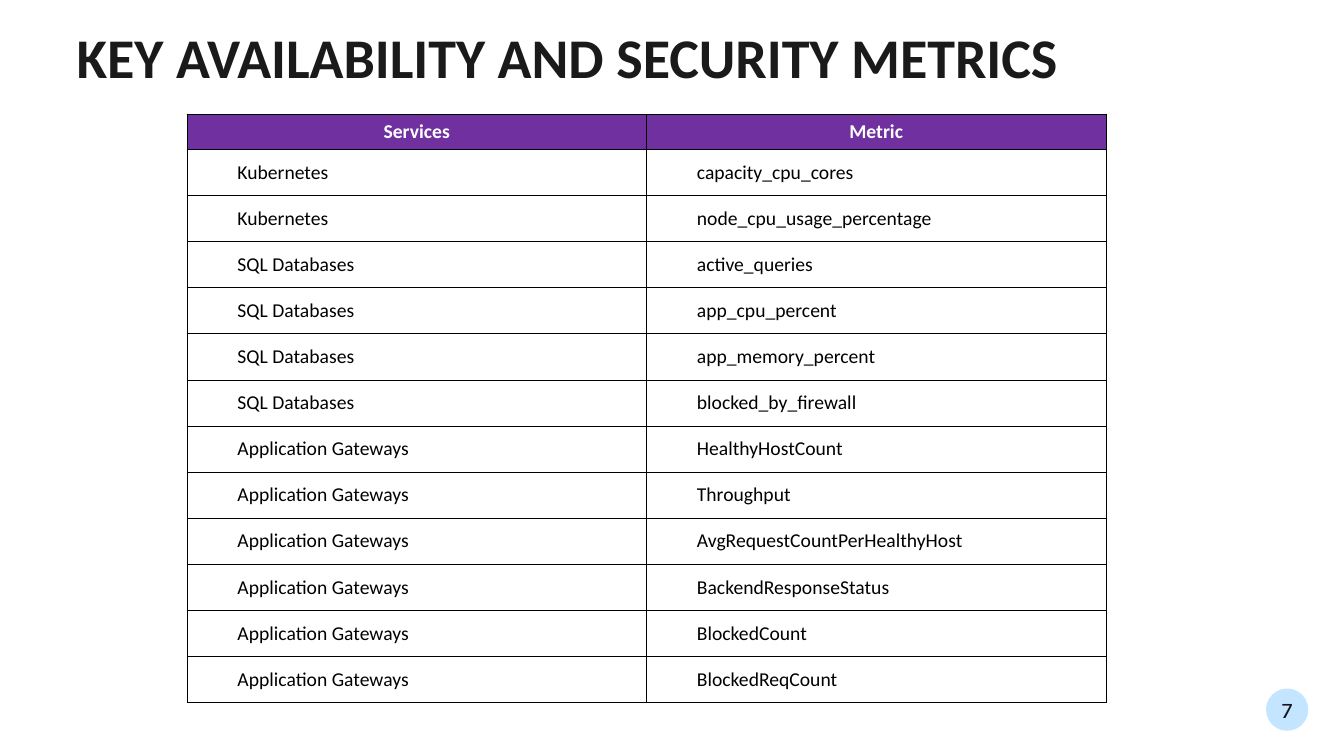
import lxml.etree
import pptx
import pptx.dml.color
import pptx.enum.shapes
import pptx.enum.text
import pptx.oxml.ns
import pptx.util

Pt = pptx.util.Pt
RGBColor = pptx.dml.color.RGBColor
PP_ALIGN = pptx.enum.text.PP_ALIGN
MIDDLE = pptx.enum.text.MSO_ANCHOR.MIDDLE
qn = pptx.oxml.ns.qn

BLACK = RGBColor(0x00, 0x00, 0x00)
WHITE = RGBColor(0xFF, 0xFF, 0xFF)
PURPLE = RGBColor(0x70, 0x30, 0xA0)
TITLE_INK = RGBColor(0x1A, 0x1A, 0x1A)
BADGE_BLUE = RGBColor(0xC4, 0xE5, 0xFF)
BADGE_INK = RGBColor(0x15, 0x15, 0x1C)

HEADER_HEIGHT = 25.2
ROW_HEIGHT = 32.94
COLUMN_WIDTH = 328.2
INDENT = 36

SERVICES = {
    "Kubernetes": ["capacity_cpu_cores", "node_cpu_usage_percentage"],
    "SQL Databases": ["active_queries", "app_cpu_percent",
                      "app_memory_percent", "blocked_by_firewall"],
    "Application Gateways": ["HealthyHostCount", "Throughput",
                             "AvgRequestCountPerHealthyHost",
                             "BackendResponseStatus", "BlockedCount",
                             "BlockedReqCount"],
}
rows = [("Services", "Metric")]
rows += [(service, metric) for service, metrics in SERVICES.items() for metric in metrics]


def add_run(paragraph, text, size, color, bold=False, font="Calibri"):
    run = paragraph.add_run()
    run.text = text
    run.font.name = font
    run.font.size = Pt(size)
    run.font.bold = bold
    run.font.color.rgb = color


def add_borders(cell):
    """Draw a thin black line on all four sides of the cell."""
    properties = cell._tc.get_or_add_tcPr()
    for index, side in enumerate(("lnL", "lnR", "lnT", "lnB")):
        line = lxml.etree.Element(qn("a:" + side), w=str(Pt(0.5)))
        fill = lxml.etree.SubElement(line, qn("a:solidFill"))
        lxml.etree.SubElement(fill, qn("a:srgbClr"), val=str(BLACK))
        properties.insert(index, line)


presentation = pptx.Presentation()
presentation.slide_width = Pt(960)
presentation.slide_height = Pt(540)
slide = presentation.slides.add_slide(presentation.slide_layouts[6])

# Page number badge
badge = slide.shapes.add_shape(pptx.enum.shapes.MSO_SHAPE.OVAL,
                               Pt(904.3), Pt(491.8), Pt(30.2), Pt(30.2))
badge.shadow.inherit = False
badge.fill.solid()
badge.fill.fore_color.rgb = BADGE_BLUE
badge.line.fill.background()
frame = badge.text_frame
frame.margin_left = frame.margin_right = 0
frame.margin_top = frame.margin_bottom = Pt(2)
frame.vertical_anchor = MIDDLE
frame.paragraphs[0].alignment = PP_ALIGN.CENTER
add_run(frame.paragraphs[0], "7", 16, BADGE_INK, font="Karla")

# Title
title = slide.shapes.add_textbox(Pt(54.7), Pt(25.2), Pt(813.6), Pt(39.6))
frame = title.text_frame
frame.word_wrap = True
frame.margin_left = frame.margin_right = frame.margin_top = frame.margin_bottom = 0
frame.paragraphs[0].line_spacing = Pt(38.7)
add_run(frame.paragraphs[0], "KEY AVAILABILITY AND SECURITY METRICS", 40, TITLE_INK, bold=True)

# Metrics table
table = slide.shapes.add_table(
    len(rows), 2, Pt(133.6), Pt(81.4), Pt(2 * COLUMN_WIDTH),
    Pt(HEADER_HEIGHT + (len(rows) - 1) * ROW_HEIGHT)).table
table.first_row = False
table.horz_banding = False
for column in table.columns:
    column.width = Pt(COLUMN_WIDTH)

for row_index, texts in enumerate(rows):
    is_header = row_index == 0
    table.rows[row_index].height = Pt(HEADER_HEIGHT if is_header else ROW_HEIGHT)
    for column_index, text in enumerate(texts):
        cell = table.cell(row_index, column_index)
        cell.margin_left = cell.margin_right = cell.margin_top = cell.margin_bottom = 0
        cell.vertical_anchor = MIDDLE
        paragraph = cell.text_frame.paragraphs[0]
        if is_header:
            cell.fill.solid()
            cell.fill.fore_color.rgb = PURPLE
            paragraph.alignment = PP_ALIGN.CENTER
        else:
            cell.fill.background()
            paragraph.level = 1
            indent = paragraph._p.get_or_add_pPr()
            indent.set("marL", str(Pt(INDENT)))
            indent.set("indent", "0")
        add_run(paragraph, text, 14, WHITE if is_header else BLACK, bold=is_header)
        add_borders(cell)

presentation.save("out.pptx")
